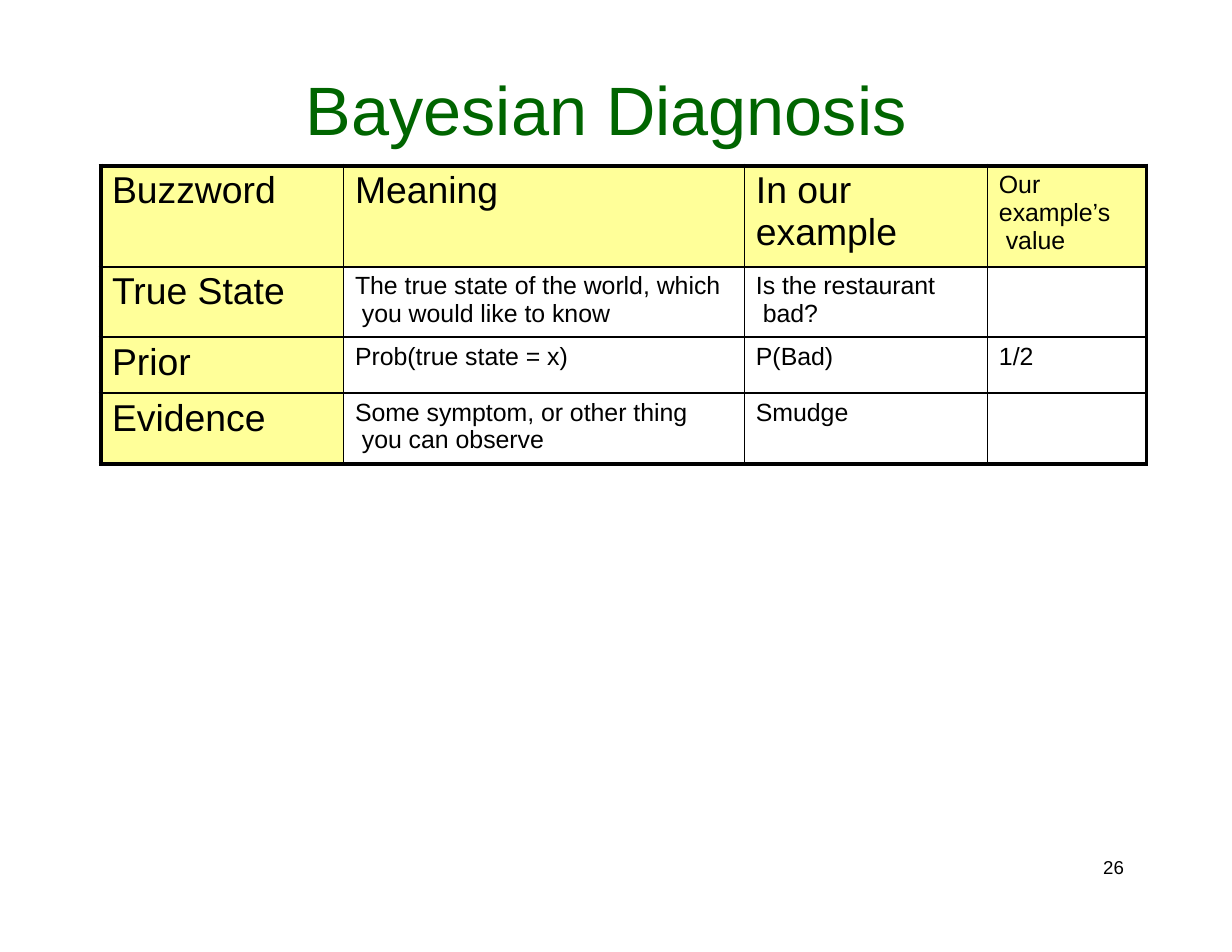
from dataclasses import dataclass

from lxml import etree
from pptx import Presentation
from pptx.dml.color import RGBColor
from pptx.enum import text
from pptx.oxml.ns import qn
from pptx.util import Inches, Pt

SLIDE_W, SLIDE_H = 11, 8.5
BLACK, GREEN, YELLOW = "000000", "006500", "FFFF99"
LARGE, SMALL = 24, 16

# Table grid, in inches
LEFT, TOP = 0.9, 1.48
COLS = [2.17, 3.58, 2.17, 1.42]
ROWS = [0.9, 0.63, 0.5, 0.63]


@dataclass
class Label:
    words: str
    size: float
    color: str = BLACK


TABLE = [
    ["Buzzword", "Meaning", "In our\vexample", "Our\vexample’s\v value"],
    ["True State", "The true state of the world, which\v you would like to know",
     "Is the restaurant\v bad?", ""],
    ["Prior", "Prob(true state = x)", "P(Bad)", "1/2"],
    ["Evidence", "Some symptom, or other thing\v you can observe", "Smudge", ""],
]


def rgb(value: str) -> RGBColor:
    return RGBColor.from_string(value)


def write(tf, label: Label) -> None:
    tf.text = label.words
    p = tf.paragraphs[0]
    p.alignment = text.PP_ALIGN.LEFT
    p.font.size = Pt(label.size)
    for r in p.runs:
        r.font.name = "Arial"
        r.font.size = Pt(label.size)
        r.font.color.rgb = rgb(label.color)


def set_frame(tf, left: float, top: float) -> None:
    tf.margin_left, tf.margin_top = Inches(left), Inches(top)
    tf.margin_right = tf.margin_bottom = 0
    tf.word_wrap = True
    tf.auto_size = text.MSO_AUTO_SIZE.NONE
    tf.vertical_anchor = text.MSO_ANCHOR.TOP


def set_borders(cell, row: int, col: int) -> None:
    last_row, last_col = len(ROWS) - 1, len(COLS) - 1
    widths = {
        "L": 3 if col == 0 else 1,
        "R": 2.25 if col == last_col else 1,
        "T": 3 if row == 0 else 1.5,
        "B": 3 if row == last_row else 1.5,
    }
    props = cell._tc.get_or_add_tcPr()
    for side, width in widths.items():
        ln = etree.SubElement(props, qn(f"a:ln{side}"), w=str(Pt(width)))
        fill = etree.SubElement(ln, qn("a:solidFill"))
        etree.SubElement(fill, qn("a:srgbClr"), val=BLACK)


def draw_cell(cell, row: int, col: int) -> None:
    # The first column and all but the last header cell are large
    large = col == 0 or (row == 0 and col < len(COLS) - 1)
    cell.margin_left = Inches(0.1)
    cell.margin_top = Inches(0.04 if large else 0.05)
    cell.margin_right = cell.margin_bottom = 0
    cell.vertical_anchor = text.MSO_ANCHOR.TOP
    set_borders(cell, row, col)
    if row == 0 or col == 0:
        cell.fill.solid()
        cell.fill.fore_color.rgb = rgb(YELLOW)
    else:
        cell.fill.background()
    write(cell.text_frame, Label(TABLE[row][col], LARGE if large else SMALL))


def draw_table(slide) -> None:
    frame = slide.shapes.add_table(
        len(ROWS), len(COLS), Inches(LEFT), Inches(TOP),
        Inches(sum(COLS)), Inches(sum(ROWS)))
    table = frame.table
    table.first_row = table.horz_banding = False
    for column, width in zip(table.columns, COLS):
        column.width = Inches(width)
    for row, height in enumerate(ROWS):
        table.rows[row].height = Inches(height)
        for col in range(len(COLS)):
            draw_cell(table.cell(row, col), row, col)


def main() -> None:
    prs = Presentation()
    prs.slide_width, prs.slide_height = Inches(SLIDE_W), Inches(SLIDE_H)
    slide = prs.slides.add_slide(prs.slide_layouts[5])

    # Title
    title = slide.shapes.title
    title.left, title.top = Inches(2.72), Inches(0.52)
    title.width, title.height = Inches(5.4), Inches(0.76)
    set_frame(title.text_frame, 0.01, 0.08)
    write(title.text_frame, Label("Bayesian Diagnosis", 44, GREEN))

    # Glossary table
    draw_table(slide)

    # Page number
    number = slide.shapes.add_textbox(
        Inches(9.82), Inches(7.64), Inches(0.24), Inches(0.21))
    set_frame(number.text_frame, 0.03, 0)
    write(number.text_frame, Label("26", 12))
    number.text_frame.paragraphs[0].line_spacing = Pt(14.2)

    prs.save("out.pptx")


if __name__ == "__main__":
    main()
